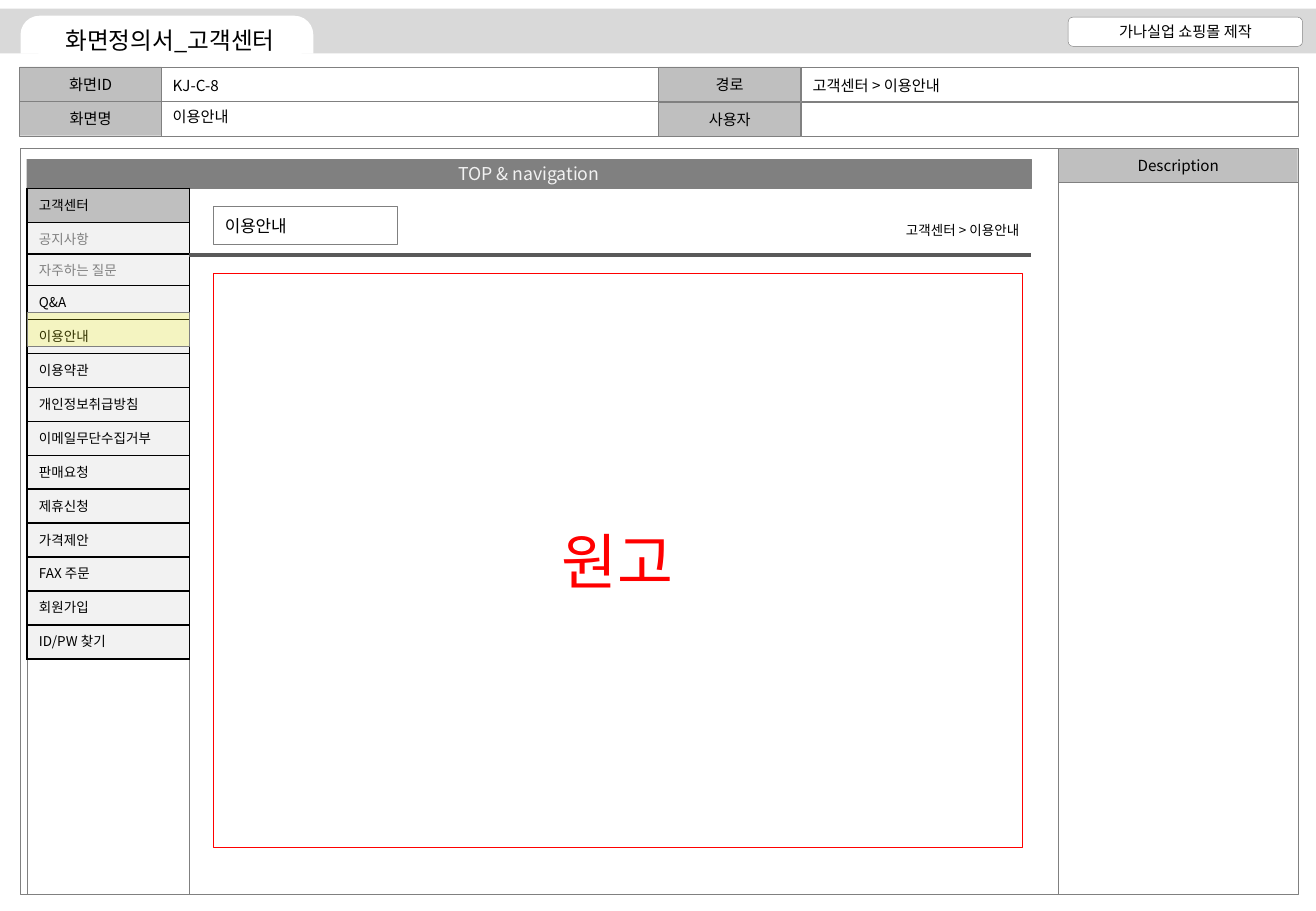
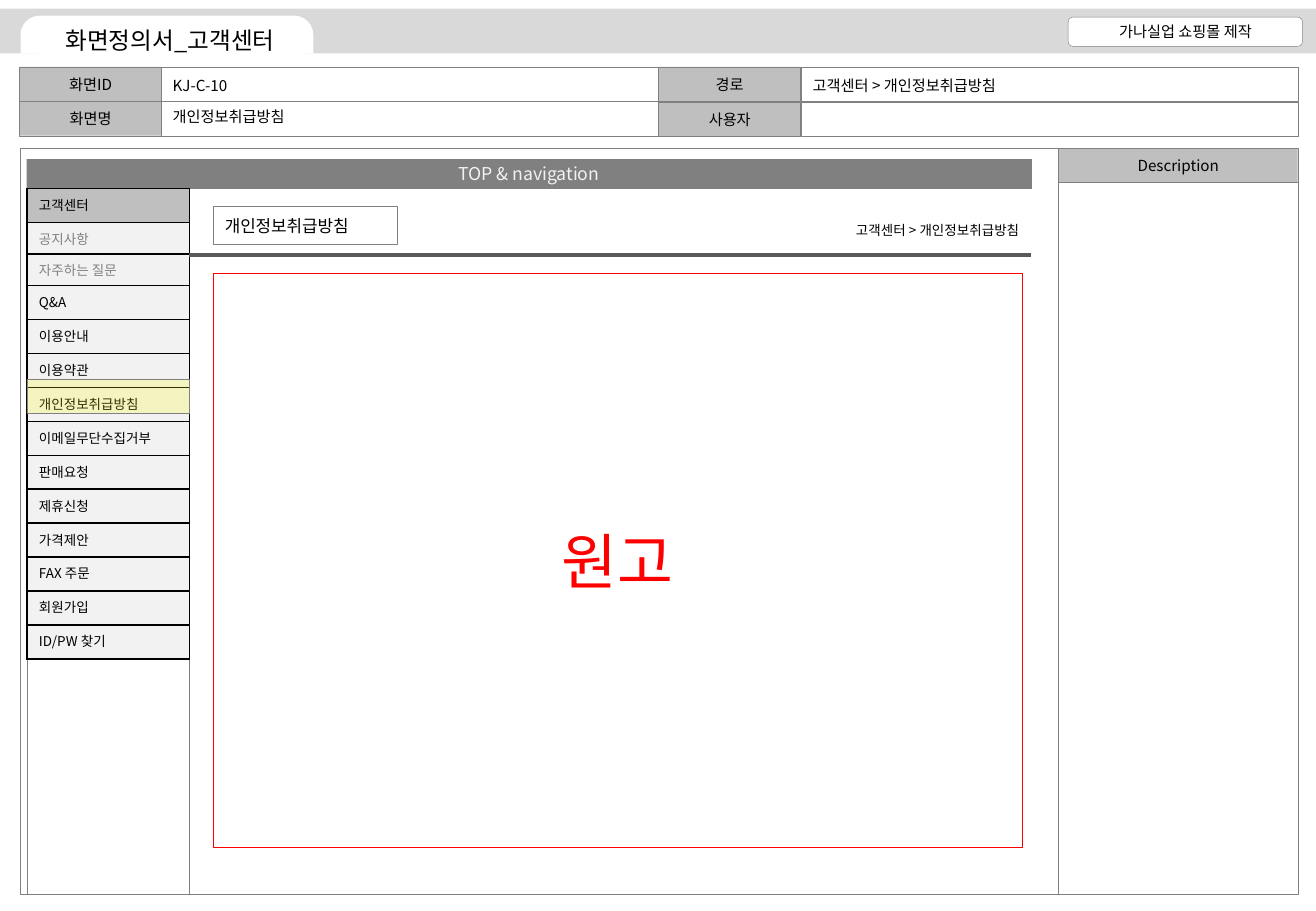
from lxml.etree import SubElement
from pptx import Presentation
from pptx.dml.color import RGBColor
from pptx.enum.shapes import MSO_CONNECTOR, MSO_SHAPE
from pptx.enum.text import MSO_ANCHOR, PP_ALIGN
from pptx.oxml.ns import qn
from pptx.util import Cm, Pt

FONT = "Noto Sans CJK KR"
BLACK = RGBColor(0x00, 0x00, 0x00)
WHITE = RGBColor(0xFF, 0xFF, 0xFF)
RED = RGBColor(0xFF, 0x00, 0x00)
YELLOW = RGBColor(0xFF, 0xFF, 0x00)
RULE = RGBColor(0x59, 0x59, 0x59)
GRAY = RGBColor(0x80, 0x80, 0x80)
LABEL = RGBColor(0xBF, 0xBF, 0xBF)
BAND = RGBColor(0xD9, 0xD9, 0xD9)
PALE = RGBColor(0xF2, 0xF2, 0xF2)

SLIDE_W, SLIDE_H = 27.51, 19.05
ROW_H = 0.71
SECTION = "고객센터"
MENU = [SECTION, "공지사항", "자주하는 질문", "Q&A", "이용안내", "이용약관",
        "개인정보취급방침", "이메일무단수집거부", "판매요청", "제휴신청",
        "가격제안", "FAX 주문", "회원가입", "ID/PW 찾기"]
SHORT_ROWS = (1, 2)

SCREENS = [("KJ-C-8", "이용안내"), ("KJ-C-10", "개인정보취급방침")]


def write(tf, text, size, color=BLACK, align=PP_ALIGN.LEFT):
    p = tf.paragraphs[0]
    p.alignment = align
    r = p.add_run()
    r.text = text
    r.font.color.rgb = color
    for name, value in {"size": Pt(size), "name": FONT}.items():
        setattr(r.font, name, value)
    SubElement(r._r.get_or_add_rPr(), qn("a:ea"), typeface=FONT)


def box(s, x, y, w, h, fill=None, line=GRAY, kind=MSO_SHAPE.RECTANGLE,
        text=None, size=9, color=BLACK, align=PP_ALIGN.CENTER):
    sp = s.shapes.add_shape(kind, Cm(x), Cm(y), Cm(w), Cm(h))
    sp.shadow.inherit = False
    if fill is None:
        sp.fill.background()
    else:
        sp.fill.solid()
        sp.fill.fore_color.rgb = fill
    if line is None:
        sp.line.fill.background()
    else:
        sp.line.color.rgb = line
        sp.line.width = Pt(0.25)
    if text:
        sp.text_frame.word_wrap = True
        sp.text_frame.vertical_anchor = MSO_ANCHOR.MIDDLE
        write(sp.text_frame, text, size, color, align)
    return sp


def label(s, x, y, w, text, size=9, align=PP_ALIGN.LEFT):
    sp = s.shapes.add_textbox(Cm(x), Cm(y), Cm(w), Cm(0.62))
    sp.text_frame.word_wrap = True
    write(sp.text_frame, text, size, align=align)


def title_band(s, x, y, w):
    box(s, x, y, w, 0.94, BAND, None)
    tab = box(s, x + 0.43, y + 0.15, 6.12, 0.79, WHITE, None,
              MSO_SHAPE.ROUND_2_SAME_RECTANGLE)
    tab.adjustments[0] = 0.5
    box(s, x + w - 5.18, y + 0.18, 4.9, 0.61, WHITE,
        kind=MSO_SHAPE.ROUNDED_RECTANGLE, text="가나실업 쇼핑몰 제작")
    box(s, x + 0.76, y + 0.35, 5.59, 0.61, WHITE, None,
        MSO_SHAPE.ROUNDED_RECTANGLE, f"화면정의서_{SECTION}", 14)


def info_grid(s, x, y, screen_id, name):
    label_w, value_w, h = 2.97, 10.39, 0.72
    half = label_w + value_w
    # Label and value cells; the lower right pair sits slightly lower
    for i, text in enumerate(["화면ID", "경로", "화면명", "사용자"]):
        row, col = divmod(i, 2)
        left, top = x + col * half, y + row * (h + 0.02 * col)
        box(s, left, top, label_w, h, LABEL, text=text)
        box(s, left + label_w, top, value_w, h)
    # Values
    value_x = x + label_w - 0.02
    label(s, value_x, y + 0.07, 10, screen_id)
    label(s, value_x, y + 0.73, 10, name)
    label(s, value_x + half + 0.02, y + 0.07, 10, f"{SECTION} > {name}")


def description(s, x, y, w, h):
    box(s, x, y, w, 0.72, LABEL, text="Description")
    box(s, x, y + 0.72, w, h - 0.72)


def cell_borders(cell):
    pr = cell._tc.get_or_add_tcPr()
    for i, side in enumerate(("lnL", "lnR", "lnT", "lnB")):
        ln = pr.makeelement(qn(f"a:{side}"), {"w": str(Pt(1))})
        fill = SubElement(ln, qn("a:solidFill"))
        SubElement(fill, qn("a:srgbClr"), val=str(BLACK))
        pr.insert(i, ln)


def side_menu(s, x, y, w, h, current):
    box(s, x, y, w, h)
    heights = [0.66 if i in SHORT_ROWS else ROW_H for i in range(len(MENU))]
    table = s.shapes.add_table(len(MENU), 1, Cm(x), Cm(y), Cm(w),
                               Cm(sum(heights))).table
    for flag in ("first_row", "horz_banding"):
        setattr(table, flag, False)
    for i, (text, height) in enumerate(zip(MENU, heights)):
        table.rows[i].height = Cm(height)
        cell = table.cell(i, 0)
        cell.fill.solid()
        cell.fill.fore_color.rgb = PALE if i else LABEL
        write(cell.text_frame, text, 8, GRAY if i in SHORT_ROWS else BLACK)
        cell_borders(cell)
    # Translucent marker on the current entry
    marker = box(s, x, y - 0.21 + 0.7 * MENU.index(current), w, 0.71, YELLOW)
    rgb = marker.fill._xPr.find(f".//{qn('a:srgbClr')}")
    SubElement(rgb, qn("a:alpha"), val="20000")


def page_body(s, x, y, w, name):
    box(s, x + 0.49, y + 0.38, 3.86, 0.79, text=name, size=10,
        align=PP_ALIGN.LEFT)
    label(s, x + w - 8, y + 0.58, 8, f"{SECTION} > {name}", 8, PP_ALIGN.RIGHT)
    rule = s.shapes.add_connector(MSO_CONNECTOR.STRAIGHT, Cm(x), Cm(y + 1.39),
                                  Cm(x + w), Cm(y + 1.39))
    rule.line.color.rgb = RULE
    rule.line.width = Pt(2.25)
    SubElement(rule._element.spPr, qn("a:effectLst"))
    box(s, x + 0.49, y + 1.78, 16.92, 11.99, line=RED, text="원고", size=36,
        color=RED)


def wireframe(s, x, y, w, h, name):
    box(s, x, y, w, h)
    box(s, x + 0.13, y + 0.23, 21, 0.61, GRAY, text="TOP & navigation",
        size=10.5, color=PALE)
    side_menu(s, x + 0.13, y + 0.84, 3.4, h - 0.84, name)
    page_body(s, x + 3.53, y + 0.84, 17.6, name)


def screen_slide(prs, screen_id, name):
    s = prs.slides.add_slide(prs.slide_layouts[6])
    title_band(s, 0, 0.18, SLIDE_W)
    info_grid(s, 0.41, 1.4, screen_id, name)
    wireframe(s, 0.43, 3.1, 21.7, 15.6, name)
    description(s, 22.13, 3.1, 5, 15.6)


def main():
    prs = Presentation()
    prs.slide_width, prs.slide_height = Cm(SLIDE_W), Cm(SLIDE_H)
    for screen in SCREENS:
        screen_slide(prs, *screen)
    prs.save("out.pptx")


if __name__ == "__main__":
    main()
